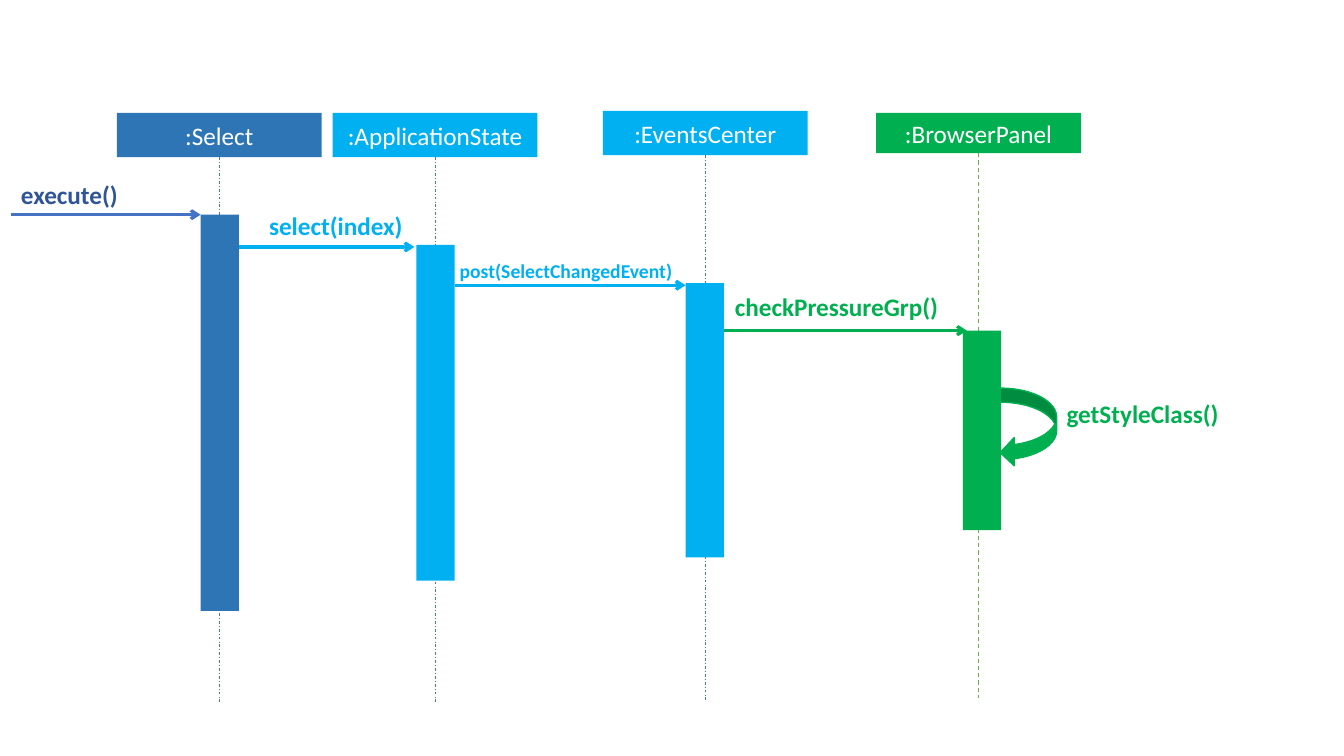
from lxml.etree import SubElement
from pptx import Presentation
from pptx.dml.color import RGBColor
from pptx.enum.dml import MSO_LINE
from pptx.enum.shapes import MSO_CONNECTOR, MSO_SHAPE
from pptx.enum.text import MSO_ANCHOR, MSO_AUTO_SIZE, PP_ALIGN
from pptx.oxml.ns import qn
from pptx.util import Inches, Pt

WHITE = RGBColor(0xFF, 0xFF, 0xFF)
NAVY = RGBColor(0x2F, 0x55, 0x97)
BLUE = RGBColor(0x2E, 0x75, 0xB6)
LINE_BLUE = RGBColor(0x44, 0x72, 0xC4)
SKY = RGBColor(0x00, 0xB0, 0xF0)
GREEN = RGBColor(0x00, 0xB0, 0x50)
LINE_GREEN = RGBColor(0x70, 0xAD, 0x47)
HEAD_WIDTH, BAR_WIDTH, LIFELINE_LENGTH = 2.03, 0.38, 5.4
DOTTED = (LINE_BLUE, 0.5, MSO_LINE.DASH_DOT)
DASHED = (LINE_GREEN, 0.75, MSO_LINE.DASH)

PARTICIPANTS = [
    (":Select", (1.16, 1.12, HEAD_WIDTH, 0.44), (1.99, 2.13, BAR_WIDTH, 3.93), BLUE, DOTTED),
    (":ApplicationState", (3.3, 1.12, HEAD_WIDTH, 0.44), (4.13, 2.43, BAR_WIDTH, 3.33), SKY, DOTTED),
    (":EventsCenter", (5.98, 1.1, HEAD_WIDTH, 0.44), (6.8, 2.81, BAR_WIDTH, 2.72), SKY, DOTTED),
    (":BrowserPanel", (8.69, 1.12, HEAD_WIDTH, 0.4), (9.55, 3.28, BAR_WIDTH, 1.98), GREEN, DASHED),
]
MESSAGES = [
    ("execute()", (0.11, 1.73, 1.18, 0.4), 18, NAVY, (0.11, 1.99, 2.13), LINE_BLUE),
    ("select(index)", (2.57, 2.04, 1.53, 0.4), 18, SKY, (2.37, 4.11, 2.45), SKY),
    ("post(SelectChangedEvent)", (4.46, 2.52, 2.78, 0.34), 14, SKY, (4.51, 6.8, 2.83), SKY),
    ("checkPressureGrp()", (7.19, 2.84, 2.33, 0.4), 18, GREEN, (7.18, 9.59, 3.28), GREEN),
]


def add_line(page, start, end, colour, width):
    """Draw a straight line without a shadow."""
    line = page.shapes.add_connector(MSO_CONNECTOR.STRAIGHT, *map(Inches, start + end))
    line.line.color.rgb = colour
    line.line.width = Pt(width)
    SubElement(line._element.spPr, qn("a:effectLst"))
    return line


def add_block(page, kind, box, colour):
    """Draw a flat filled shape."""
    block = page.shapes.add_shape(kind, *map(Inches, box))
    block.shadow.inherit = False
    block.fill.solid()
    block.fill.fore_color.rgb = colour
    block.line.fill.background()
    return block


def write_text(frame, text, size, colour, bold=False):
    """Write one paragraph and return it."""
    para = frame.paragraphs[0]
    para.text = text
    para.font.name = "Calibri"
    para.font.size = Pt(size)
    para.font.bold = bold
    para.font.color.rgb = colour
    return para


def add_participant(page, name, head_box, bar_box, colour, lifeline_style):
    """Draw a named head, its lifeline and its activation bar."""
    left, top, width, height = head_box
    head = add_block(page, MSO_SHAPE.RECTANGLE, head_box, colour)
    head.text_frame.vertical_anchor = MSO_ANCHOR.MIDDLE
    write_text(head.text_frame, name, 18, WHITE).alignment = PP_ALIGN.CENTER
    centre, bottom = left + width / 2, top + height
    line_colour, line_width, dash = lifeline_style
    lifeline = add_line(page, (centre, bottom), (centre, bottom + LIFELINE_LENGTH), line_colour, line_width)
    lifeline.line.dash_style = dash
    add_block(page, MSO_SHAPE.RECTANGLE, bar_box, colour)


def add_label(page, text, box, size, colour):
    """Place a bold call label."""
    label = page.shapes.add_textbox(*map(Inches, box))
    frame = label.text_frame
    frame.word_wrap = True
    frame.auto_size = MSO_AUTO_SIZE.SHAPE_TO_FIT_TEXT
    write_text(frame, text, size, colour, bold=True)


def add_message(page, text, box, size, colour, span, line_colour):
    """Draw a call arrow with its label."""
    start, end, level = span
    arrow = add_line(page, (start, level), (end, level), line_colour, 2.25)
    SubElement(arrow.line._get_or_add_ln(), qn("a:tailEnd"), type="arrow")
    add_label(page, text, box, size, colour)


def add_self_call(page, text, box, colour):
    """Draw a curved arrow returning to its bar, with a label on its right."""
    left, top, width, height = box
    loop = add_block(page, MSO_SHAPE.CURVED_LEFT_ARROW, box, colour)
    loop.line.color.rgb = colour
    loop.line.width = Pt(1)
    add_label(page, text, (left + width, top + 0.05, 2.22, 0.4), 18, colour)


def build_sequence_diagram(deck):
    """Add the sequence diagram page."""
    page = deck.slides.add_slide(deck.slide_layouts[6])
    for participant in PARTICIPANTS:
        add_participant(page, *participant)
    for message in MESSAGES:
        add_message(page, *message)
    add_self_call(page, "getStyleClass()", (9.92, 3.85, 0.56, 0.78), GREEN)


deck = Presentation()
deck.slide_width, deck.slide_height = Inches(13.33), Inches(7.5)
build_sequence_diagram(deck)
deck.save("out.pptx")
